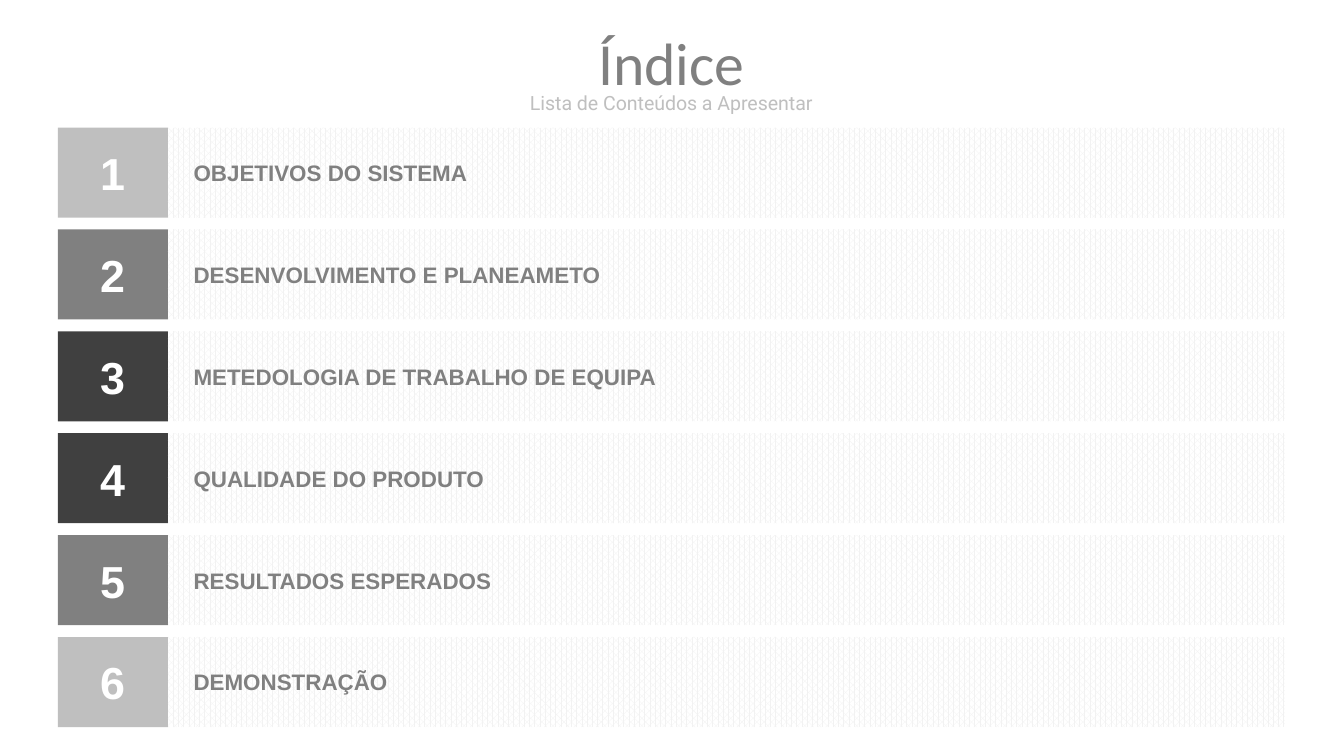
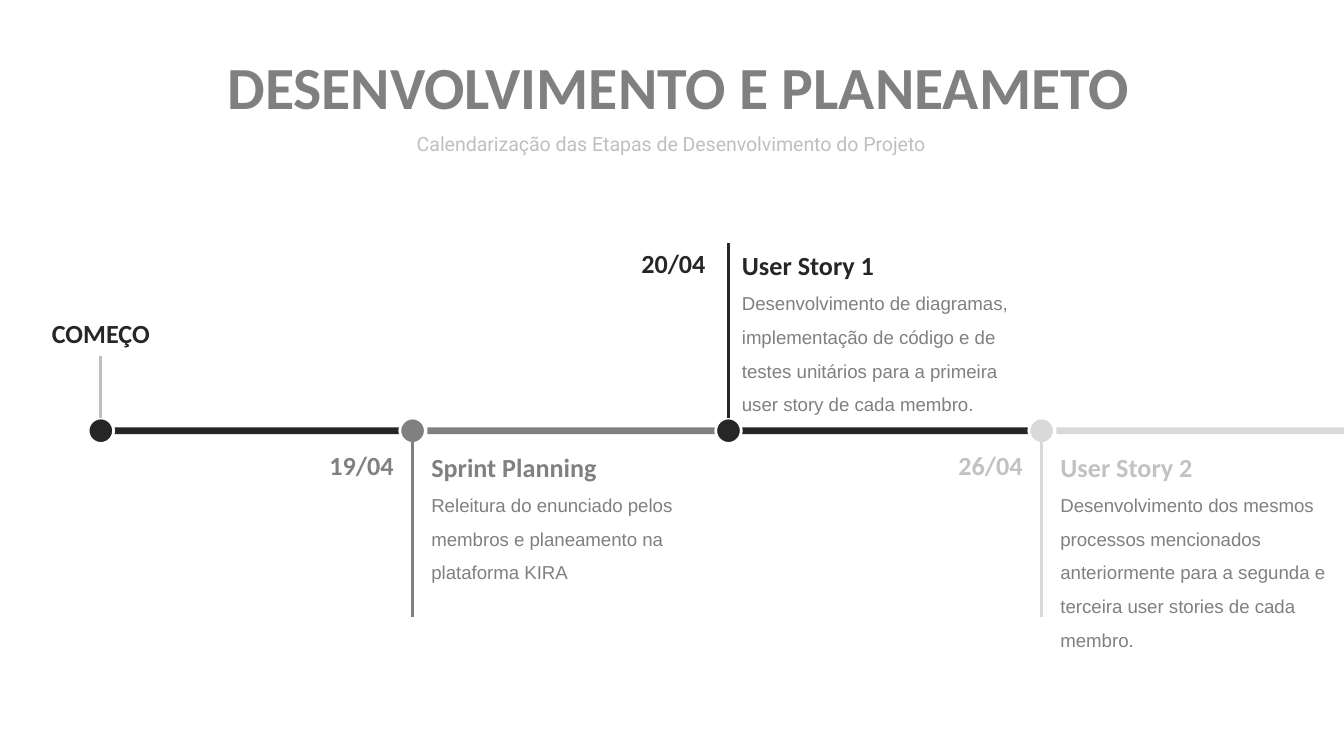
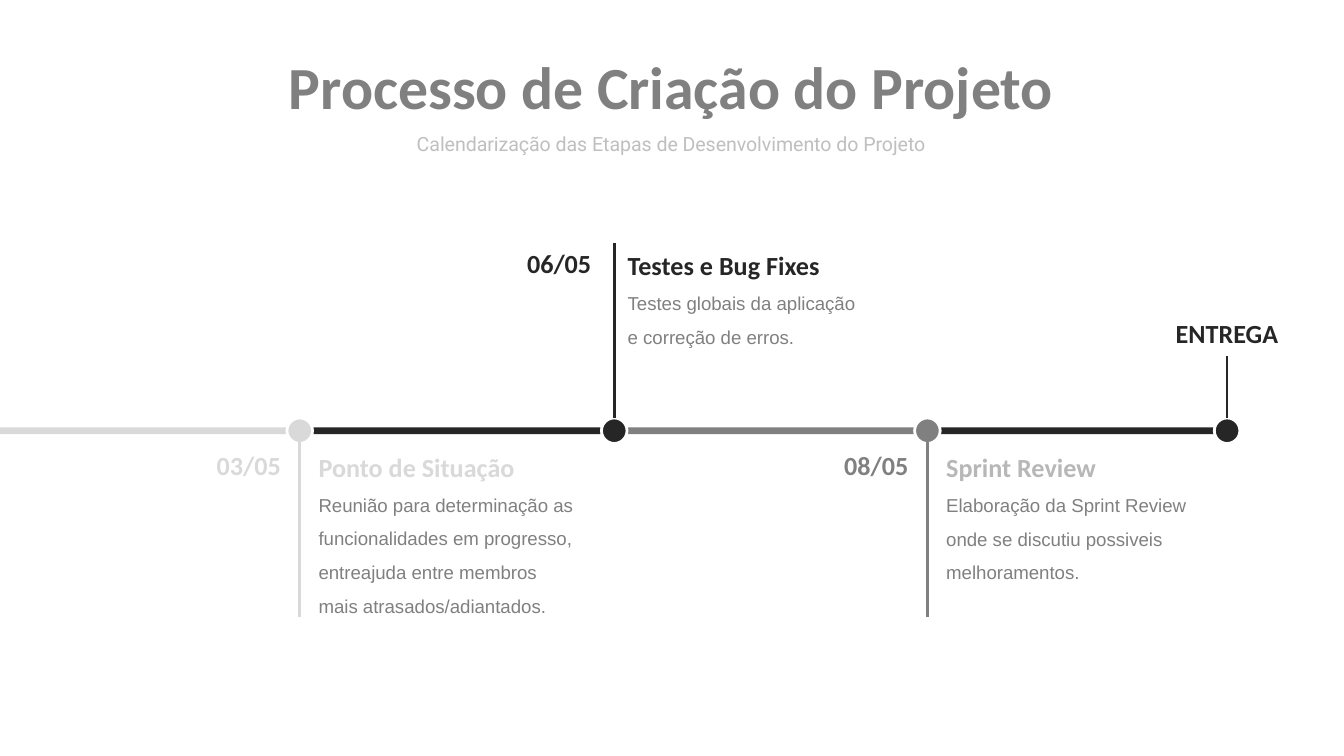
import lxml.etree
import pptx
import pptx.dml.color
import pptx.enum.dml
import pptx.enum.shapes
import pptx.enum.text
import pptx.oxml.ns
import pptx.util

Inches = pptx.util.Inches
Pt = pptx.util.Pt
ALIGN = pptx.enum.text.PP_ALIGN
SHAPES = pptx.enum.shapes.MSO_SHAPE

SLIDE_WIDTH = 10
SLIDE_HEIGHT = SLIDE_WIDTH * 9 / 16

COLORS = {
    "white": "FFFFFF",
    "stripe": "F2F2F2",
    "pale": "D9D9D9",
    "faded": "C2C2C2",
    "light": "BFBFBF",
    "silver": "B7B7B7",
    "gray": "808080",
    "dark": "404040",
    "black": "262626",
}
HEADING_FONT, BODY_FONT, SUBTITLE_FONT = "Calibri", "Arial", "Roboto"

AXIS_TOP = 3.18
AXIS_HEIGHT = 0.05
SEGMENT_WIDTH = 2.14
DOT_TOP = 3.11
DOT_SIZE = 0.19
STEM_BOTTOM = 4.59
LABEL_HEIGHT = 0.32
DATE_WIDTH = 1.02


def rgb(color):
    return pptx.dml.color.RGBColor.from_string(COLORS[color])


def style_font(font, name, size, color, bold=False):
    font.name = name
    font.size = Pt(size)
    font.bold = bold
    font.color.rgb = rgb(color)


def add_shape(slide, kind, left, top, width, height, fill, line=None):
    shape = slide.shapes.add_shape(
        kind, Inches(left), Inches(top), Inches(width), Inches(height))
    shape.shadow.inherit = False
    if fill == "stripe":
        shape.fill.patterned()
        shape.fill.pattern = pptx.enum.dml.MSO_PATTERN.PERCENT_75
        shape.fill.fore_color.rgb = rgb("stripe")
        shape.fill.back_color.rgb = rgb("white")
    else:
        shape.fill.solid()
        shape.fill.fore_color.rgb = rgb(fill)
    if line:
        shape.line.color.rgb = rgb(line)
        shape.line.width = Pt(1.5)
    else:
        shape.line.fill.background()
    return shape


def add_paragraph_box(slide, left, top, width, height, align, middle=True, wrap=True, grow=True):
    """Add a text box without margins and return its first paragraph."""
    frame = slide.shapes.add_textbox(
        Inches(left), Inches(top), Inches(width), Inches(height)).text_frame
    frame.margin_left = frame.margin_right = frame.margin_top = frame.margin_bottom = 0
    frame.word_wrap = wrap
    anchors = pptx.enum.text.MSO_ANCHOR
    frame.vertical_anchor = anchors.MIDDLE if middle else anchors.TOP
    sizes = pptx.enum.text.MSO_AUTO_SIZE
    frame.auto_size = sizes.SHAPE_TO_FIT_TEXT if grow else sizes.NONE
    paragraph = frame.paragraphs[0]
    paragraph.alignment = align
    return paragraph


def add_header(slide, top, title, subtitle, subtitle_offset, bold=True, title_width=9.15):
    left = 0.42
    paragraph = add_paragraph_box(
        slide, left, top + subtitle_offset, 9.15, 0.19, ALIGN.CENTER, wrap=False, grow=False)
    paragraph.text = subtitle
    style_font(paragraph.font, SUBTITLE_FONT, 10.5, "light")
    paragraph = add_paragraph_box(slide, left, top, title_width, 0.54, ALIGN.CENTER, grow=False)
    paragraph.text = title
    style_font(paragraph.font, HEADING_FONT, 32, "gray", bold)


def add_index_rows(slide, left, top, width, height, rows):
    row_height, number_width = 0.67, 0.82
    pitch = (height - row_height) / (len(rows) - 1)
    for index, (text, color) in enumerate(rows):
        row_top = top + index * pitch
        number = add_shape(slide, SHAPES.RECTANGLE, left, row_top, number_width, row_height, color)
        number.text_frame.vertical_anchor = pptx.enum.text.MSO_ANCHOR.MIDDLE
        paragraph = number.text_frame.paragraphs[0]
        paragraph.text = str(index + 1)
        paragraph.alignment = ALIGN.CENTER
        style_font(paragraph.font, BODY_FONT, 24, "white", True)
        add_shape(slide, SHAPES.RECTANGLE, left + number_width, row_top,
                  width - number_width, row_height, "stripe")
        paragraph = add_paragraph_box(
            slide, left + 1.01, row_top + (row_height - 0.2) / 2, 7.89, 0.2, ALIGN.LEFT)
        paragraph.text = text
        style_font(paragraph.font, BODY_FONT, 12, "gray", True)


def add_axis(slide, segments):
    for left, color in segments:
        add_shape(slide, SHAPES.RECTANGLE, left, AXIS_TOP, SEGMENT_WIDTH, AXIS_HEIGHT, color)


def add_dot(slide, center, color):
    add_shape(slide, SHAPES.OVAL, center - DOT_SIZE / 2, DOT_TOP,
              DOT_SIZE, DOT_SIZE, color, "white")


def add_stem(slide, center, top, bottom, color):
    stem = slide.shapes.add_connector(
        pptx.enum.shapes.MSO_CONNECTOR.STRAIGHT,
        Inches(center), Inches(top), Inches(center), Inches(bottom))
    stem.line.color.rgb = rgb(color)
    stem.line.width = Pt(1.5)
    lxml.etree.SubElement(stem._element.spPr, pptx.oxml.ns.qn("a:effectLst"))


def add_label(slide, left, top, width, text, color, align):
    paragraph = add_paragraph_box(slide, left, top, width, LABEL_HEIGHT, align)
    paragraph.text = text
    paragraph.line_spacing = 1.5
    style_font(paragraph.font, HEADING_FONT, 14, color, True)


def add_endpoint(slide, center, text, label_width, stem_color):
    add_dot(slide, center, "black")
    add_stem(slide, center, 2.65, DOT_TOP, stem_color)
    add_label(slide, center - label_width / 2, 2.26, label_width, text, "black", ALIGN.CENTER)


def add_milestone(slide, center, above, date, heading, description, lines, width,
                  color, date_color=None, heading_color=None):
    """Add a dated event above or below the axis; lines counts its description lines."""
    if above:
        text_top, stem_top, stem_bottom = 1.74, 1.81, DOT_TOP
        date_gap, text_gap = 0.17, 0.1
    else:
        text_top, stem_top, stem_bottom = 3.24, 3.29, STEM_BOTTOM
        date_gap, text_gap = 0.14, 0.14
    add_dot(slide, center, color)
    add_stem(slide, center, stem_top, stem_bottom, color)
    add_label(slide, center - date_gap - DATE_WIDTH, text_top, DATE_WIDTH,
              date, date_color or color, ALIGN.RIGHT)

    paragraph = add_paragraph_box(slide, center + text_gap, text_top, width,
                                  0.33 + 0.25 * lines, ALIGN.LEFT, middle=False)
    paragraph.line_spacing = 1.5
    run = paragraph.add_run()
    run.text = heading
    style_font(run.font, HEADING_FONT, 14, heading_color or color, True)
    paragraph.add_line_break()
    lxml.etree.SubElement(paragraph._p[-1], pptx.oxml.ns.qn("a:rPr"), sz="1400")
    run = paragraph.add_run()
    run.text = description
    style_font(run.font, BODY_FONT, 10, "gray")


def build_index(slide):
    add_header(slide, 0.19, "Índice", "Lista de Conteúdos a Apresentar", 0.48, bold=False)
    add_index_rows(slide, 0.43, 0.95, 9.13, 4.46, [
        ("OBJETIVOS DO SISTEMA", "light"),
        ("DESENVOLVIMENTO E PLANEAMETO", "gray"),
        ("METEDOLOGIA DE TRABALHO DE EQUIPA", "dark"),
        ("QUALIDADE DO PRODUTO", "dark"),
        ("RESULTADOS ESPERADOS", "gray"),
        ("DEMONSTRAÇÃO", "light"),
    ])


def add_timeline_header(slide, title, title_width=9.15):
    add_header(slide, 0.37, title, "Calendarização das Etapas de Desenvolvimento do Projeto",
               0.6, title_width=title_width)


def build_timeline_start(slide):
    add_timeline_header(slide, "DESENVOLVIMENTO E PLANEAMETO", 9.26)
    add_axis(slide, [(0.83, "black"), (3.18, "gray"), (5.52, "black"), (7.86, "pale")])
    add_endpoint(slide, 0.75, "COMEÇO", 1.02, "light")
    add_milestone(
        slide, 3.07, False, "19/04", "Sprint Planning",
        "Releitura do enunciado pelos membros e planeamento na plataforma KIRA",
        3, 2.04, "gray")
    add_milestone(
        slide, 5.42, True, "20/04", "User Story 1",
        "Desenvolvimento de diagramas, implementação de código e de testes unitários "
        "para a primeira user story de cada membro.",
        4, 2.09, "black")
    add_milestone(
        slide, 7.75, False, "26/04", "User Story 2",
        "Desenvolvimento dos mesmos processos mencionados anteriormente para a segunda "
        "e terceira user stories de cada membro.",
        5, 2.04, "pale", "faded", "faded")


def build_timeline_end(slide):
    add_timeline_header(slide, "Processo de Criação do Projeto")
    add_axis(slide, [(-0.01, "pale"), (2.33, "black"), (4.67, "gray"), (7, "black")])
    add_milestone(
        slide, 2.23, False, "03/05", "Ponto de Situação",
        "Reunião para determinação as funcionalidades em progresso, entreajuda entre "
        "membros mais atrasados/adiantados.",
        4, 1.91, "pale")
    add_milestone(
        slide, 4.57, True, "06/05", "Testes e Bug Fixes",
        "Testes globais da aplicação e correção de erros.",
        2, 1.79, "black")
    add_milestone(
        slide, 6.9, False, "08/05", "Sprint Review",
        "Elaboração da Sprint Review onde se discutiu possiveis melhoramentos.",
        3, 1.79, "gray", heading_color="silver")
    add_endpoint(slide, 9.13, "ENTREGA", 1.33, "black")


def main():
    presentation = pptx.Presentation()
    presentation.slide_width = Inches(SLIDE_WIDTH)
    presentation.slide_height = Inches(SLIDE_HEIGHT)
    blank_layout = presentation.slide_layouts[6]
    for build in (build_index, build_timeline_start, build_timeline_end):
        build(presentation.slides.add_slide(blank_layout))
    presentation.save("out.pptx")


if __name__ == "__main__":
    main()
